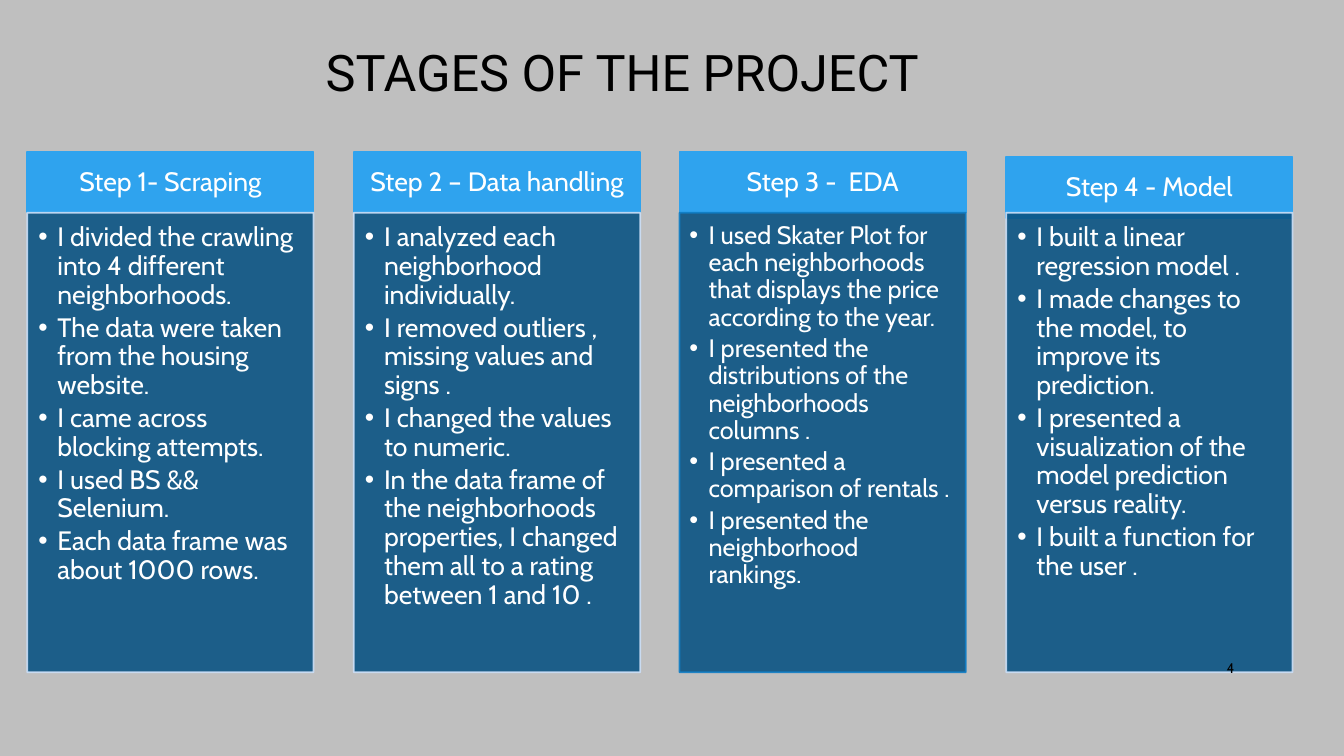
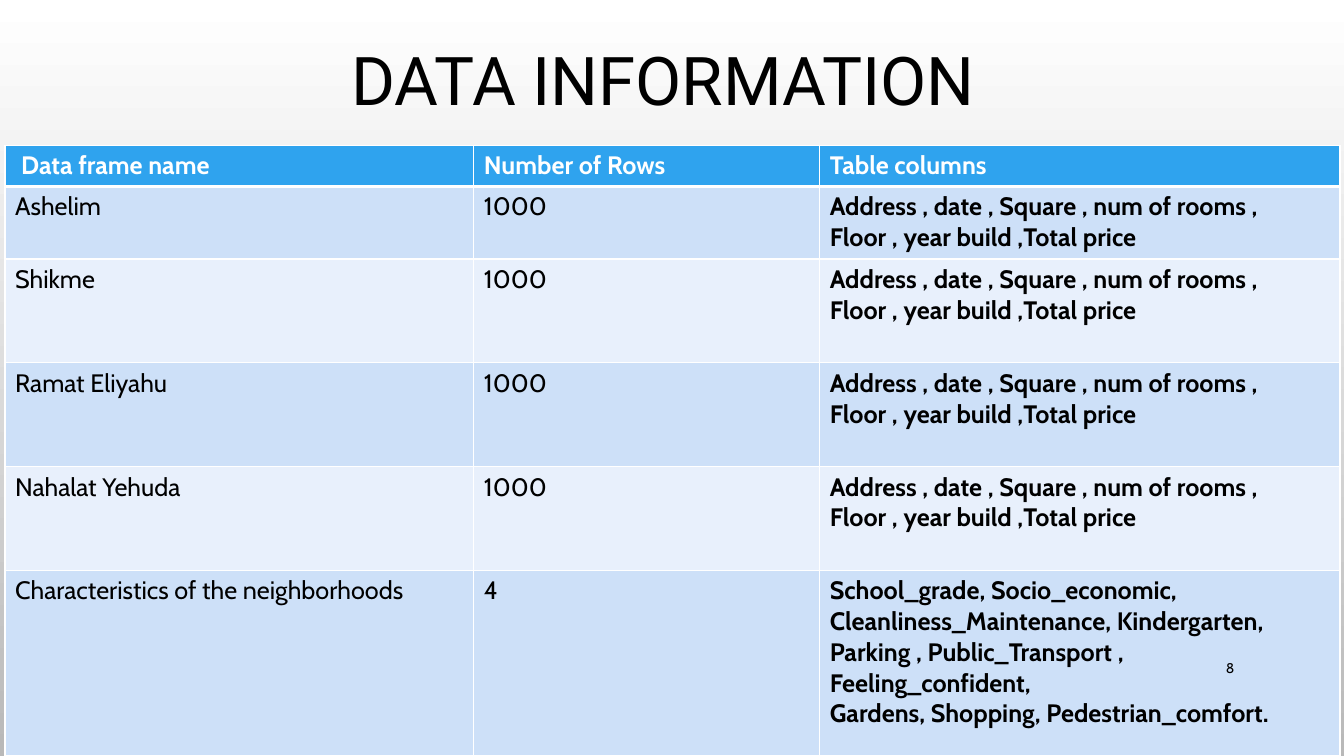
"""Build two project slides: the stages of the work and the data tables."""
from pptx import Presentation
from pptx.dml.color import RGBColor
from pptx.enum.shapes import MSO_SHAPE
from pptx.enum.text import MSO_ANCHOR, MSO_AUTO_SIZE, PP_ALIGN
from pptx.oxml import parse_xml
from pptx.oxml.ns import nsdecls, qn
from pptx.util import Emu, Pt

PX = 9144
SLIDE_WIDTH, SLIDE_HEIGHT = 1333, 750
TITLE_FONT, TEXT_FONT = "Roboto", "Cabin"

BLACK = RGBColor(0x00, 0x00, 0x00)
WHITE = RGBColor(0xFF, 0xFF, 0xFF)
GRAY = RGBColor(0xBF, 0xBF, 0xBF)
DARK_GRAY = RGBColor(0xB9, 0xB9, 0xB9)
SKY = RGBColor(0x2F, 0xA3, 0xEE)
NAVY = RGBColor(0x0B, 0x54, 0x84)
BLUE = RGBColor(0x10, 0x7E, 0xC6)
PALE_BLUE = RGBColor(0xCD, 0xE0, 0xF8)
PALER_BLUE = RGBColor(0xE8, 0xF0, 0xFC)

CARD_LEFT, CARD_SPAN, CARD_WIDTH = 27, 971, 284
HEADING_TOP, HEADING_HEIGHT = 151, 60
BODY_TOP, BODY_HEIGHT = 211, 456
BULLET_INDENT = 19

STEPS = [
    ("Step 1- Scraping", [
        "I divided the crawling into 4 different neighborhoods.",
        "The data were taken from the housing website.",
        "I came across blocking attempts.",
        "I used BS && Selenium.",
        "Each data frame was about 1000 rows.",
    ], {}),
    ("Step 2 – Data handling", [
        "I analyzed each neighborhood individually.",
        "I removed outliers , missing values and signs .",
        "I changed the values to numeric.",
        "In the data frame of the neighborhoods properties, I changed them all "
        "to a rating between 1 and 10 .",
    ], {}),
    ("Step 3 -  EDA", [
        "I used Skater Plot for each neighborhoods that displays the price "
        "according to the year.",
        "I presented the distributions of the neighborhoods columns .",
        "I presented a comparison of rentals .",
        "I presented the neighborhood rankings.",
    ], {"size": 18, "outline": BLUE, "insets": (10, 10, 14, 16)}),
    ("Step 4 - Model", [
        "I built a linear regression model .",
        "I made changes to the model, to improve its prediction.",
        "I presented a visualization of the model prediction versus reality.",
        "I built a function for the user .",
    ], {"heading_drop": 5}),
]

SALE_COLUMNS = ("Address , date , Square , num of rooms , Floor , year build ,"
                "Total price")
RATING_COLUMNS = ("School_grade, Socio_economic, Cleanliness_Maintenance, "
                  "Kindergarten, Parking , Public_Transport , "
                  "Feeling_confident,\nGardens, Shopping, Pedestrian_comfort.")
DATA_ROWS = [
    ("Data frame name", "Number of Rows", "Table columns"),
    *((area, "1000", SALE_COLUMNS)
      for area in ("Ashelim", "Shikme", "Ramat Eliyahu", "Nahalat Yehuda")),
    ("Characteristics of the neighborhoods", "4", RATING_COLUMNS),
]
COLUMN_WIDTHS = (465, 343, 516)
ROW_HEIGHTS = (41, 72, 103, 103, 103, 184)


def px(length):
    """Turn a length in px into EMU."""
    return Emu(length * PX)


def box(left, top, width, height):
    """Return a position and size in EMU."""
    return px(left), px(top), px(width), px(height)


def format_text(frame, size, color, font=TEXT_FONT, align=PP_ALIGN.LEFT,
                bold=False, line_spacing=None):
    """Give every paragraph and run of a text frame the same look."""
    for paragraph in frame.paragraphs:
        paragraph.alignment = align
        paragraph.line_spacing = line_spacing
        for run in paragraph.runs:
            run.font.name = font
            run.font.size = Pt(size)
            run.font.bold = bold
            run.font.color.rgb = color


def set_insets(frame, left, top, right, bottom):
    """Set the inner margins of a text frame in px."""
    frame.margin_left, frame.margin_top = px(left), px(top)
    frame.margin_right, frame.margin_bottom = px(right), px(bottom)


def set_title(slide, text, area, size, align, left_inset=10):
    """Fill and place the title placeholder."""
    title = slide.shapes.title
    title.left, title.top, title.width, title.height = box(*area)
    frame = title.text_frame
    frame.text = text
    frame.auto_size = MSO_AUTO_SIZE.NONE
    frame.vertical_anchor = MSO_ANCHOR.MIDDLE
    frame.margin_left = px(left_inset)
    format_text(frame, size, BLACK, TITLE_FONT, align, line_spacing=0.9)


def add_page_number(slide, number):
    """Write the page number at the lower right."""
    frame = slide.shapes.add_textbox(*box(1150, 643, 84, 40)).text_frame
    frame.word_wrap = True
    frame.vertical_anchor = MSO_ANCHOR.MIDDLE
    frame.text = str(number)
    format_text(frame, 10, BLACK, align=PP_ALIGN.RIGHT)


def add_panel(slide, area, fill, outline, text, anchor, insets):
    """Add a filled rectangle with text and return it."""
    panel = slide.shapes.add_shape(MSO_SHAPE.RECTANGLE, *box(*area))
    panel.shadow.inherit = False
    panel.fill.solid()
    panel.fill.fore_color.rgb = fill
    panel.line.color.rgb = outline
    panel.line.width = Pt(1.25)
    frame = panel.text_frame
    frame.word_wrap = True
    frame.vertical_anchor = anchor
    frame.text = text
    set_insets(frame, *insets)
    return panel


def make_translucent(panel, percent):
    """Set the opacity of a panel's fill and outline."""
    for color in panel.element.spPr.iter(qn("a:srgbClr")):
        color.append(parse_xml(
            f'<a:alpha {nsdecls("a")} val="{percent * 1000}"/>'))


def add_bullets(frame):
    """Turn the paragraphs of a text frame into a bulleted list."""
    for paragraph in frame.paragraphs:
        paragraph.space_after = Pt(3)
        properties = paragraph._p.get_or_add_pPr()
        properties.set("marL", str(px(BULLET_INDENT)))
        properties.set("indent", str(-px(BULLET_INDENT)))
        properties.append(parse_xml(
            f'<a:buFont {nsdecls("a")} typeface="Arial"/>'))
        properties.append(parse_xml(f'<a:buChar {nsdecls("a")} char="•"/>'))


def add_step(slide, left, heading, points, size=19, outline=PALE_BLUE,
             insets=(11, 11, 15, 17), heading_drop=0):
    """Add one step: a heading bar above a bulleted panel."""
    bar = add_panel(
        slide, (left, HEADING_TOP + heading_drop, CARD_WIDTH, HEADING_HEIGHT),
        SKY, SKY, heading, MSO_ANCHOR.MIDDLE, (15, 8, 15, 8))
    format_text(bar.text_frame, 19, WHITE, align=PP_ALIGN.CENTER,
                line_spacing=0.9)
    body = add_panel(
        slide, (left, BODY_TOP, CARD_WIDTH, BODY_HEIGHT),
        NAVY, outline, "\n".join(points), MSO_ANCHOR.TOP, insets)
    make_translucent(body, 90)
    format_text(body.text_frame, size, WHITE, line_spacing=0.9)
    add_bullets(body.text_frame)


def set_borders(cell, bottom_width):
    """Draw white borders round a table cell."""
    properties = cell._tc.get_or_add_tcPr()
    sides = (("lnL", 1), ("lnR", 1), ("lnT", 1), ("lnB", bottom_width))
    for index, (side, width) in enumerate(sides):
        properties.insert(index, parse_xml(
            f'<a:{side} {nsdecls("a")} w="{Pt(width)}"><a:solidFill>'
            f'<a:srgbClr val="{WHITE}"/></a:solidFill></a:{side}>'))


def add_data_table(slide):
    """Add the table of data frames with a header and banded rows."""
    table = slide.shapes.add_table(
        len(DATA_ROWS), len(COLUMN_WIDTHS),
        *box(5, 144, sum(COLUMN_WIDTHS), sum(ROW_HEIGHTS))).table
    for column, width in zip(table.columns, COLUMN_WIDTHS):
        column.width = px(width)
    for row_index, (row, height) in enumerate(zip(table.rows, ROW_HEIGHTS)):
        row.height = px(height)
        is_header = row_index == 0
        band = PALE_BLUE if row_index % 2 else PALER_BLUE
        if is_header or row_index == len(DATA_ROWS) - 1:
            band = SKY if is_header else PALE_BLUE
        for column_index, cell in enumerate(row.cells):
            cell.text = DATA_ROWS[row_index][column_index]
            set_borders(cell, 3 if is_header else 1)
            cell.fill.solid()
            cell.fill.fore_color.rgb = band
            format_text(cell.text_frame, 18, WHITE if is_header else BLACK,
                        bold=is_header or column_index == 2)
    table.cell(0, 0).margin_left = px(16)


def build_stages(slide):
    """Build the slide with the four steps of the project."""
    background = slide.background.fill
    background.solid()
    background.fore_color.rgb = GRAY
    set_title(slide, "STAGES OF THE PROJECT", (213, 14, 1069, 121), 36,
              PP_ALIGN.LEFT, left_inset=110)
    for index, (heading, points, options) in enumerate(STEPS):
        left = CARD_LEFT + round(index * CARD_SPAN / (len(STEPS) - 1))
        add_step(slide, left, heading, points, **options)
    add_page_number(slide, 4)


def build_data_information(slide):
    """Build the slide with the table of data frames."""
    background = slide.background.fill
    background.gradient()
    background.gradient_angle = 270
    for stop, color in zip(background.gradient_stops, (WHITE, DARK_GRAY)):
        stop.color.rgb = color
    set_title(slide, "DATA INFORMATION", (83, 7, 1150, 152), 48,
              PP_ALIGN.CENTER)
    add_data_table(slide)
    add_page_number(slide, 8)


def main():
    """Create the presentation and save it."""
    presentation = Presentation()
    presentation.slide_width = px(SLIDE_WIDTH)
    presentation.slide_height = px(SLIDE_HEIGHT)
    title_only = presentation.slide_layouts[5]
    for build in (build_stages, build_data_information):
        build(presentation.slides.add_slide(title_only))
    presentation.save("out.pptx")


if __name__ == "__main__":
    main()
